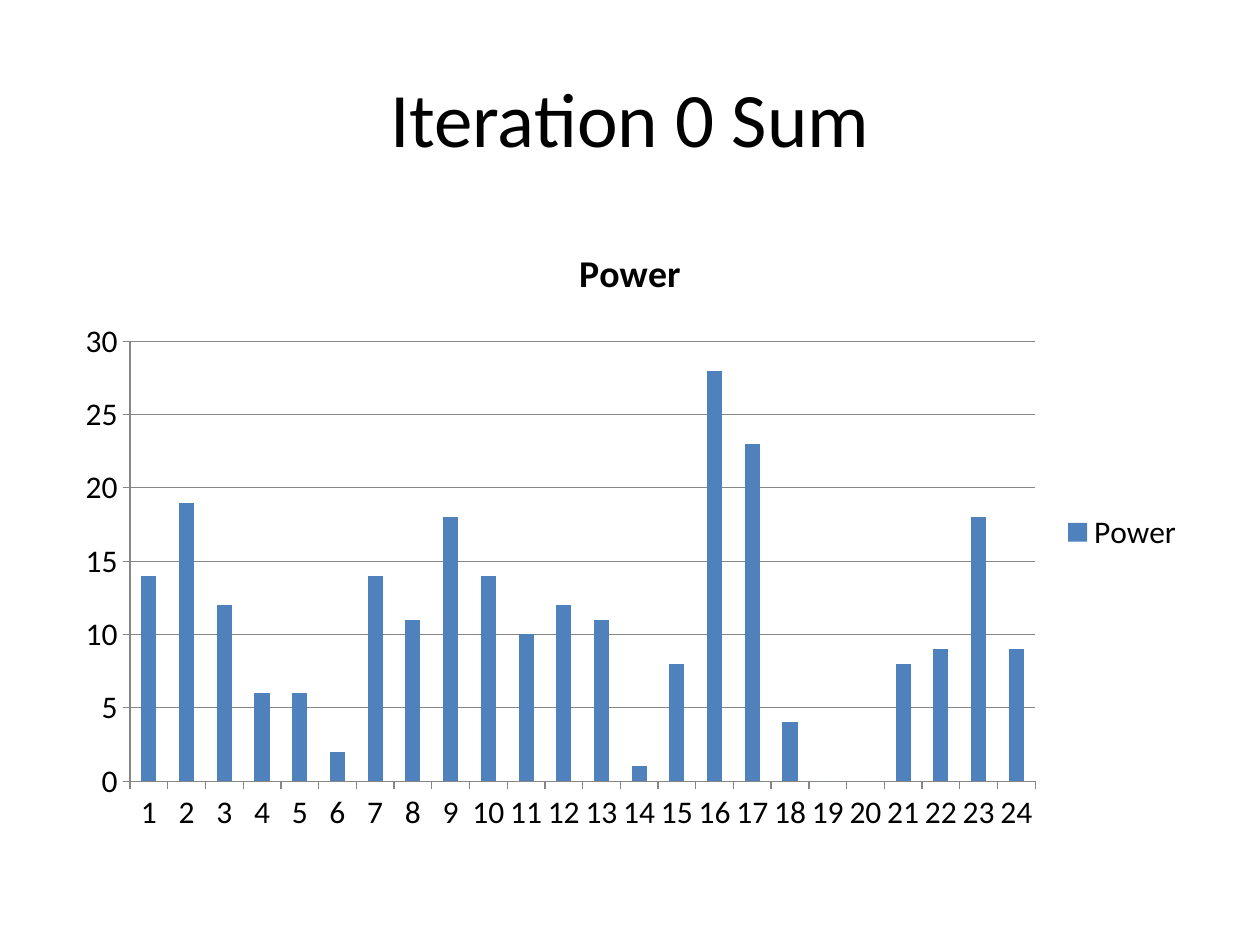
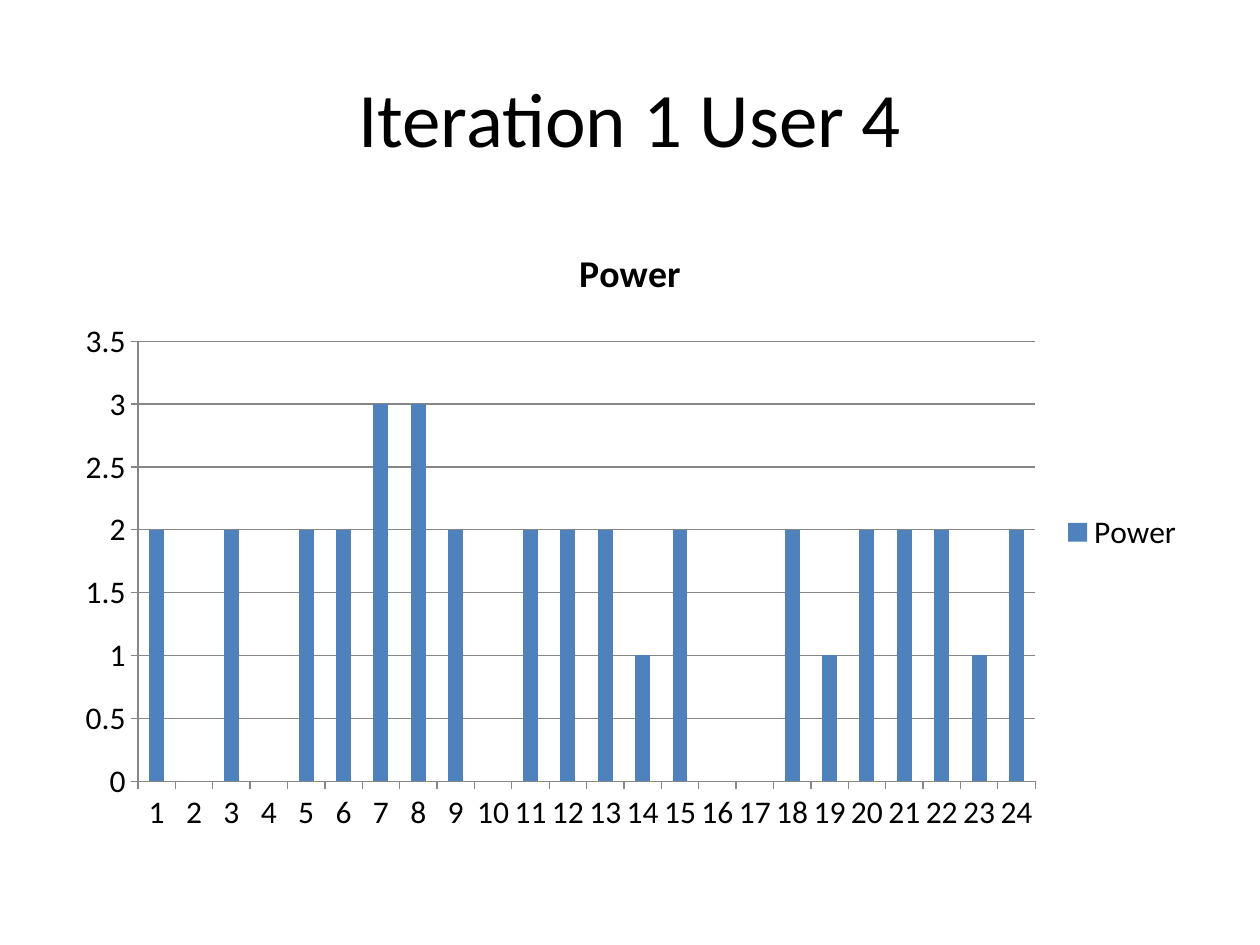
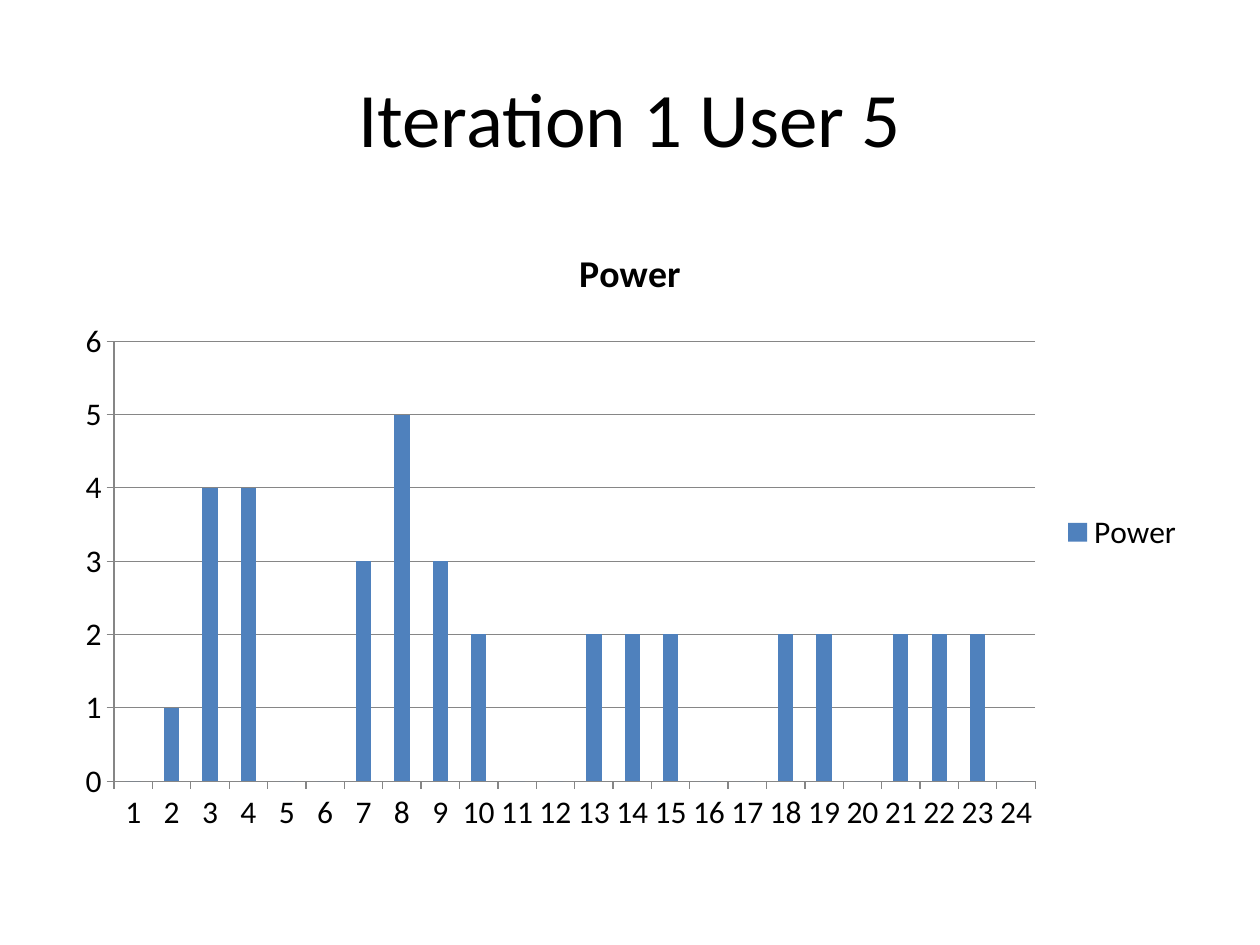
"""Build three slides, each with a title and a column chart of power over 24 periods."""
from pptx import Presentation
from pptx.chart import data as chart_data
from pptx.dml.color import RGBColor
from pptx.enum import chart as charts, text
from pptx.util import Inches, Pt

COLORS = {"text": "000000", "column": "4F81BD", "line": "868686"}
FONT = "Calibri"
SERIES = "Power"
LEFT, WIDTH = Inches(0.5), Inches(9)

SLIDES = [
    ("Iteration 0 Sum",
     [14, 19, 12, 6, 6, 2, 14, 11, 18, 14, 10, 12,
      11, 1, 8, 28, 23, 4, 0, 0, 8, 9, 18, 9]),
    ("Iteration 1 User 4",
     [2, 0, 2, 0, 2, 2, 3, 3, 2, 0, 2, 2,
      2, 1, 2, 0, 0, 2, 1, 2, 2, 2, 1, 2]),
    ("Iteration 1 User 5",
     [0, 1, 4, 4, 0, 0, 3, 5, 3, 2, 0, 0,
      2, 2, 2, 0, 0, 2, 2, 0, 2, 2, 2, 0]),
]


def color(name):
    """Return the named colour."""
    return RGBColor.from_string(COLORS[name])


def style_font(font, size, bold=False):
    """Set the shared typeface and colour with the given size."""
    font.name = FONT
    font.size = Pt(size)
    font.bold = bold
    font.color.rgb = color("text")


def style_line(line):
    """Draw a thin grey chart line."""
    line.color.rgb = color("line")
    line.width = Pt(0.75)


def add_title(slide, title):
    """Add the centred slide title."""
    shape = slide.shapes.add_textbox(LEFT, Inches(0.3), WIDTH, Inches(1.25))
    frame = shape.text_frame
    frame.word_wrap = True
    frame.vertical_anchor = text.MSO_ANCHOR.MIDDLE
    paragraph = frame.paragraphs[0]
    paragraph.text = title
    paragraph.alignment = text.PP_ALIGN.CENTER
    style_font(paragraph.font, 44)


def style_axes(chart):
    """Set tick marks, axis lines and horizontal gridlines."""
    for axis in (chart.category_axis, chart.value_axis):
        axis.major_tick_mark = charts.XL_TICK_MARK.OUTSIDE
        axis.minor_tick_mark = charts.XL_TICK_MARK.NONE
        style_line(axis.format.line)
    chart.category_axis.has_major_gridlines = False
    chart.value_axis.has_major_gridlines = True
    style_line(chart.value_axis.major_gridlines.format.line)


def add_power_chart(slide, values):
    """Add the column chart with one column per period."""
    data = chart_data.CategoryChartData()
    data.categories = [str(period) for period in range(1, len(values) + 1)]
    data.add_series(SERIES, values)
    chart = slide.shapes.add_chart(
        charts.XL_CHART_TYPE.COLUMN_CLUSTERED,
        LEFT, Inches(1.75), WIDTH, Inches(4.95), data).chart
    style_font(chart.font, 18)

    chart.has_title = True
    title = chart.chart_title
    title.include_in_layout = False
    paragraph = title.text_frame.paragraphs[0]
    paragraph.text = SERIES
    style_font(paragraph.font, 21.6, bold=True)

    chart.has_legend = True
    chart.legend.position = charts.XL_LEGEND_POSITION.RIGHT
    chart.legend.include_in_layout = False

    plot = chart.plots[0]
    plot.gap_width = 150
    plot.vary_by_categories = False
    fill = plot.series[0].format.fill
    fill.solid()
    fill.fore_color.rgb = color("column")
    style_axes(chart)


def main():
    """Build and save the presentation."""
    presentation = Presentation()
    presentation.slide_width = Inches(10)
    presentation.slide_height = Inches(7.5)
    for title, values in SLIDES:
        slide = presentation.slides.add_slide(presentation.slide_layouts[6])
        add_title(slide, title)
        add_power_chart(slide, values)
    presentation.save("out.pptx")


main()
